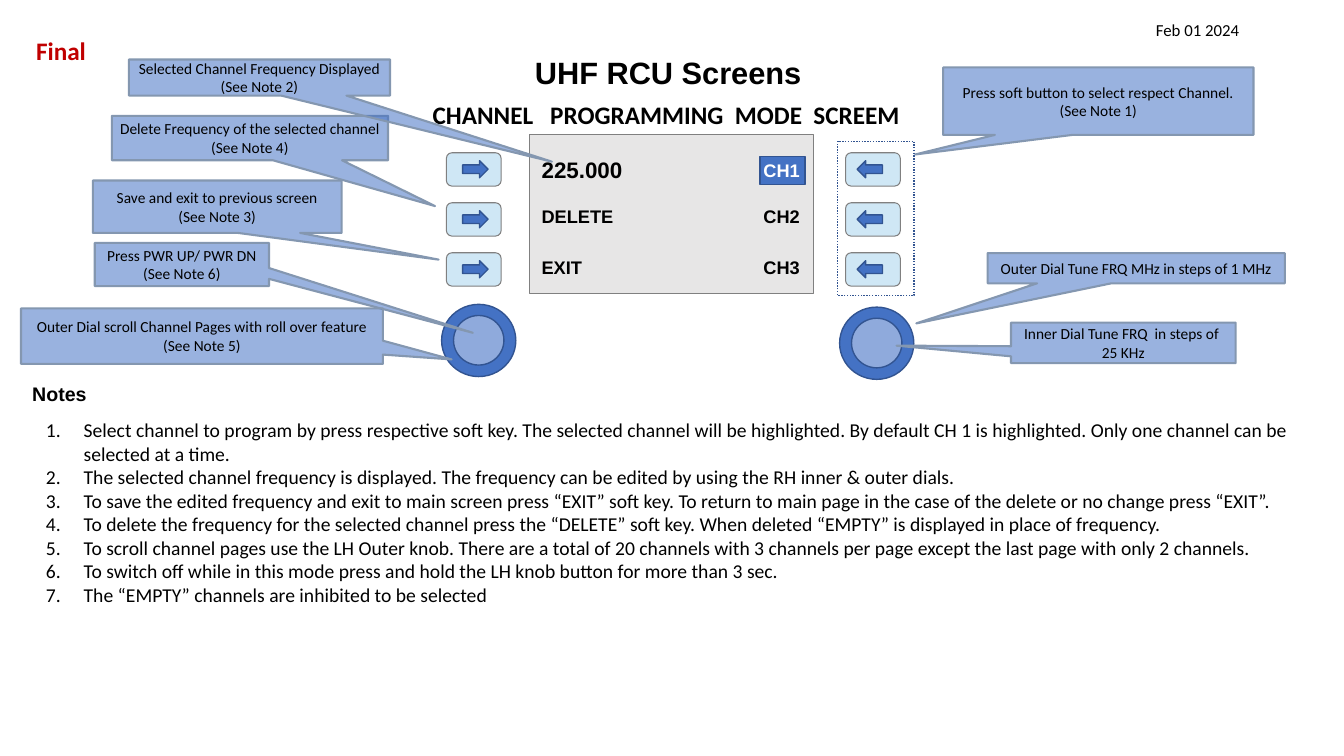
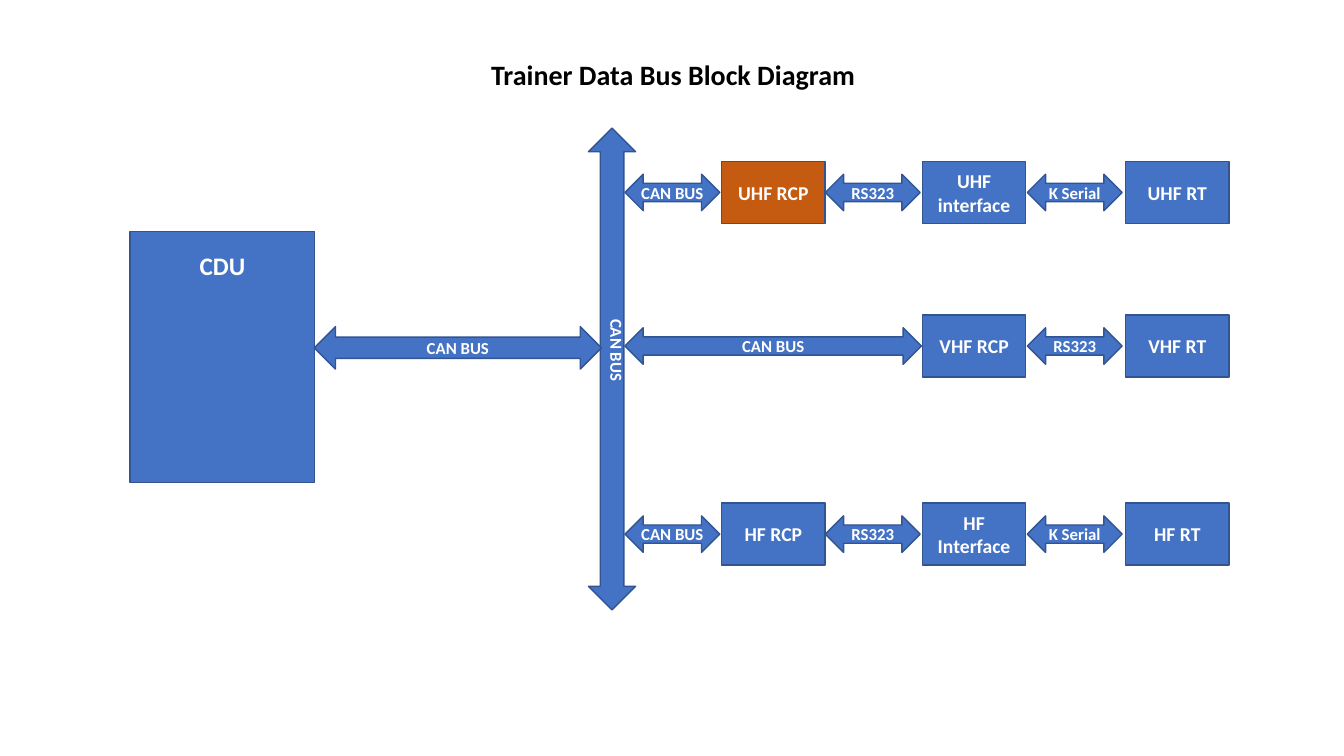
import pptx
import pptx.dml.color
import pptx.enum.dml
import pptx.enum.shapes
import pptx.enum.text
import pptx.util
from lxml import etree

Cm = pptx.util.Cm
Pt = pptx.util.Pt
SHAPE = pptx.enum.shapes.MSO_SHAPE
ALIGN = pptx.enum.text.PP_ALIGN
ANCHOR = pptx.enum.text.MSO_ANCHOR

BLUE, DARK_BLUE, LIGHT_BLUE, ORANGE = "4472C4", "325491", "8FAADC", "C55A11"
BLACK, WHITE, RED, GRAY = "000000", "FFFFFF", "C00000", "808080"


def draw(slide, preset, box, fill=BLUE, line=DARK_BLUE, width=1):
    """Add a preset shape, or a text box if preset is None; box is in centimetres."""
    lengths = [Cm(length) for length in box]
    if preset is None:
        return slide.shapes.add_textbox(*lengths)
    shape = slide.shapes.add_shape(preset, *lengths)
    shape.shadow.inherit = False
    if fill:
        shape.fill.solid()
        shape.fill.fore_color.rgb = pptx.dml.color.RGBColor.from_string(fill)
    else:
        shape.fill.background()
    shape.line.color.rgb = pptx.dml.color.RGBColor.from_string(line)
    shape.line.width = Pt(width)
    return shape


def write(shape, text, size, color=BLACK, font="Calibri", bold=True,
          align=ALIGN.CENTER, anchor=ANCHOR.MIDDLE, wrap=True):
    frame = shape.text_frame
    frame.text = text
    frame.word_wrap = wrap
    frame.vertical_anchor = anchor
    for paragraph in frame.paragraphs:
        paragraph.alignment = align
        for run in paragraph.runs:
            run.font.name = font
            run.font.size = Pt(size)
            run.font.bold = bold
            run.font.color.rgb = pptx.dml.color.RGBColor.from_string(color)


presentation = pptx.Presentation()
presentation.slide_width = Cm(33.87)
presentation.slide_height = Cm(19.05)
blank_layout = presentation.slide_layouts[6]

# Slide 1: control panel screen
slide = presentation.slides.add_slide(blank_layout)

write(draw(slide, None, (5.41, 1.31, 22.86, 1)), "UHF RCU Screens", 22, font="Arial")
write(draw(slide, None, (5.36, 2.41, 22.86, 0.94)),
      "CHANNEL   PROGRAMMING  MODE  SCREEM", 18)
write(draw(slide, None, (28.88, 0.38, 2.74, 0.76)), "Feb 01 2024", 12,
      bold=False, align=ALIGN.LEFT)
write(draw(slide, None, (0.66, 0.76, 1.93, 1.02)), "Final", 18, RED,
      align=ALIGN.LEFT, wrap=False)

draw(slide, SHAPE.RECTANGLE, (13.34, 3.4, 7.16, 3.99), "E7E6E6", GRAY, 0)
draw(slide, SHAPE.RECTANGLE, (19.15, 3.94, 1.14, 0.71))
screen_rows = [(3.88, "225.000", 16, "CH1", WHITE),
               (5.06, "DELETE", 13, "CH2", BLACK),
               (6.33, "EXIT", 13, "CH3", BLACK)]
for top, function, size, channel, channel_color in screen_rows:
    write(draw(slide, None, (13.4, top, 3, 0.8)), function, size,
          font="Arial", align=ALIGN.LEFT)
    write(draw(slide, None, (18.99, top, 1.5, 0.8)), channel, 13, channel_color,
          font="Arial", align=ALIGN.LEFT)

# Soft buttons and knobs on both sides of the screen
panel_sides = [(11.25, 11.66, SHAPE.RIGHT_ARROW, 11.13, 7.67),
               (21.31, 21.6, SHAPE.LEFT_ARROW, 21.16, 7.74)]
for button_left, arrow_left, arrow, knob_left, knob_top in panel_sides:
    for row in range(3):
        top = 3.85 + 1.26 * row
        draw(slide, SHAPE.ROUNDED_RECTANGLE, (button_left, top, 1.38, 0.84),
             "CFE7F5", GRAY, 0)
        draw(slide, arrow, (arrow_left, top + 0.2, 0.64, 0.43))
    draw(slide, SHAPE.OVAL, (knob_left, knob_top, 1.87, 1.82))
    draw(slide, SHAPE.OVAL, (knob_left + 0.3, knob_top + 0.28, 1.27, 1.25), LIGHT_BLUE)
button_frame = draw(slide, SHAPE.RECTANGLE, (21.11, 3.56, 1.93, 3.89), None)
button_frame.line.dash_style = pptx.enum.dml.MSO_LINE.ROUND_DOT

# Callouts: box, pointer tip relative to the box, text
callouts = [
    ((2.82, 2.92, 6.96, 1.12), (0.67, 1.53),
     "Delete Frequency of the selected channel\n(See Note 4)"),
    ((23.77, 1.7, 7.82, 1.7), (-0.59, 0.79),
     "Press soft button to select respect Channel. (See Note 1)"),
    ((2.39, 6.12, 4.39, 1.09), (1.67, 1.58), "Press PWR UP/ PWR DN\n(See Note 6)"),
    ((24.89, 6.38, 7.49, 0.76), (-0.74, 1.83),
     "Outer Dial Tune FRQ MHz in steps of 1 MHz"),
    ((25.48, 8.13, 5.66, 1.02), (-1.01, 0.07),
     "Inner Dial Tune FRQ  in steps of  25 KHz"),
    ((0.53, 7.77, 9.12, 1.4), (0.69, 0.42),
     "Outer Dial scroll Channel Pages with roll over feature\n(See Note 5)"),
    ((3.25, 1.5, 6.58, 0.91), (1.12, 2.33),
     "Selected Channel Frequency Displayed (See Note 2)"),
    ((2.34, 4.55, 6.27, 1.32), (0.89, 1.01),
     "Save and exit to previous screen\n(See Note 3)"),
]
for box, tip, text in callouts:
    callout = draw(slide, SHAPE.RECTANGULAR_CALLOUT, box, BLUE, "8497B0", 1.5)
    callout.adjustments[0], callout.adjustments[1] = tip
    fill_color = callout.fill._xPr.find(".//" + pptx.oxml.ns.qn("a:srgbClr"))
    etree.SubElement(fill_color, pptx.oxml.ns.qn("a:alpha"), val="54000")
    write(callout, text, 11, bold=False, wrap="\n" not in text)

write(draw(slide, None, (0.56, 9.5, 1.91, 0.86)), "Notes", 14, font="Arial",
      align=ALIGN.LEFT, wrap=False)
notes = [
    "Select channel to program by press respective soft key. The selected channel will be "
    "highlighted. By default CH 1 is highlighted. Only one channel can be selected at a time.",
    "The selected channel frequency is displayed. The frequency can be edited by using the "
    "RH inner & outer dials.",
    "To save the edited frequency and exit to main screen press “EXIT” soft key. To return "
    "to main page in the case of the delete or no change press “EXIT”.",
    "To delete the frequency for the selected channel press the “DELETE” soft key. When "
    "deleted “EMPTY” is displayed in place of frequency.",
    "To scroll channel pages use the LH Outer knob. There are a total of 20 channels with "
    "3 channels per page except the last page with only 2 channels.",
    "To switch off while in this mode press and hold the LH knob button for more than 3 sec.",
    "The “EMPTY” channels are inhibited to be selected",
]
notes_box = draw(slide, None, (0.91, 10.41, 32.03, 5.64))
write(notes_box, "\n".join(notes), 14, bold=False, align=ALIGN.LEFT, anchor=ANCHOR.TOP)
for paragraph in notes_box.text_frame.paragraphs:
    properties = paragraph._p.get_or_add_pPr()
    properties.set("marL", str(Cm(0.95)))
    properties.set("indent", str(-Cm(0.95)))
    etree.SubElement(properties, pptx.oxml.ns.qn("a:buAutoNum"), type="arabicPeriod")

# Slide 2: data bus diagram
slide = presentation.slides.add_slide(blank_layout)

write(draw(slide, None, (10.92, 1.32, 12.09, 1.12)), "Trainer Data Bus Block Diagram", 20)

control_unit = draw(slide, SHAPE.RECTANGLE, (3.28, 5.84, 4.65, 6.32))
write(control_unit, "CDU", 18, WHITE, anchor=ANCHOR.TOP)
control_unit.text_frame.margin_top = Cm(0.46)

draw(slide, SHAPE.UP_DOWN_ARROW, (14.83, 3.23, 1.19, 12.14))
bus_label = draw(slide, None, (14.91, 7.9, 1.02, 1.85))
write(bus_label, "CAN BUS", 12, WHITE, anchor=ANCHOR.TOP, wrap=False)
bus_label.text_frame._txBody.bodyPr.set("vert", "vert")

# Rows of the radios: middle height, blocks (left, text), links (left, width, text)
panel_left, interface_left, radio_left = 18.19, 23.25, 28.37
first_link, second_link, third_link = 15.75, 20.8, 25.89
link_width = 2.39
radio_rows = [
    (4.85,
     [(panel_left, "UHF RCP"), (interface_left, "UHF interface"), (radio_left, "UHF RT")],
     [(first_link, link_width, "CAN BUS"), (second_link, link_width, "RS323"),
      (third_link, link_width, "K Serial")]),
    (8.72,
     [(interface_left, "VHF RCP"), (radio_left, "VHF RT")],
     [(first_link, 7.47, "CAN BUS"), (third_link, link_width, "RS323")]),
    (13.46,
     [(panel_left, "HF RCP"), (interface_left, "HF Interface"), (radio_left, "HF RT")],
     [(first_link, link_width, "CAN BUS"), (second_link, link_width, "RS323"),
      (third_link, link_width, "K Serial")]),
]
block_height, link_height = 1.56, 0.92
for middle, blocks, links in radio_rows:
    for left, text in blocks:
        block = draw(slide, SHAPE.RECTANGLE,
                     (left, middle - block_height / 2, 2.6, block_height),
                     ORANGE if text == "UHF RCP" else BLUE)
        write(block, text, 14, WHITE)
    for left, width, text in links:
        link = draw(slide, SHAPE.LEFT_RIGHT_ARROW,
                    (left, middle - link_height / 2, width, link_height))
        write(link, text, 12, WHITE, wrap=False)

control_link = draw(slide, SHAPE.LEFT_RIGHT_ARROW, (7.92, 8.23, 7.24, 1.07))
write(control_link, "CAN BUS", 12, WHITE, wrap=False)

presentation.save("out.pptx")
